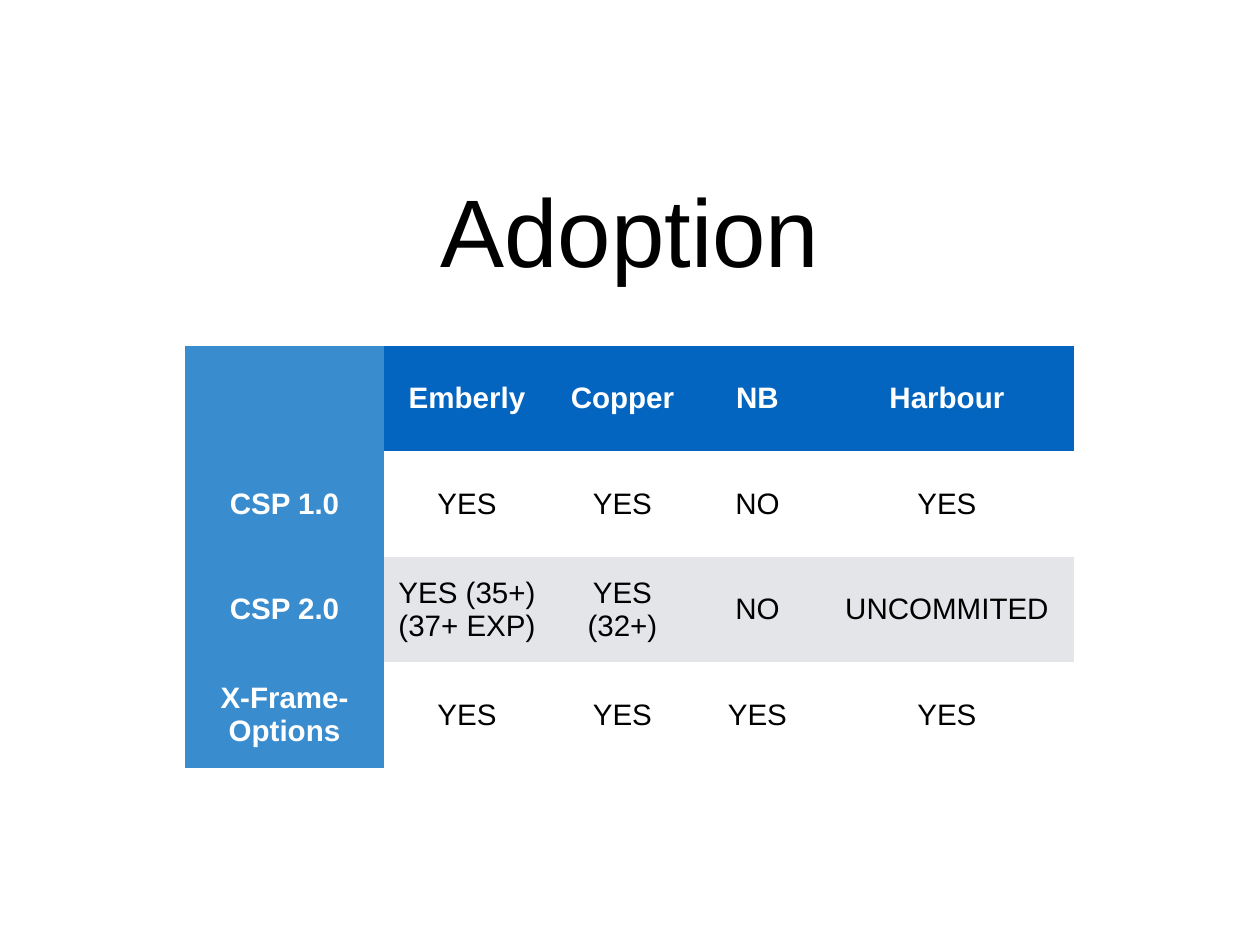
"""Build the slide with the table of browser adoption."""
import pptx
import pptx.dml.color
import pptx.enum.text
import pptx.oxml.ns
import pptx.util

TITLE = "Adoption"
ROWS = [
    ("", "Emberly", "Copper", "NB", "Harbour"),
    ("CSP 1.0", "YES", "YES", "NO", "YES"),
    ("CSP 2.0", "YES (35+)(37+ EXP)", "YES (32+)", "NO", "UNCOMMITED"),
    ("X-Frame-Options", "YES", "YES", "YES", "YES"),
]
HEX = {
    "head": "0365C0", "side": "398CCE", "plain": "FFFFFF",
    "band": "E3E5E8", "light": "FFFFFF", "dark": "000000",
}
FONT = "Arial"
PAGE = (1260, 945)
TITLE_BOX = (227, 151, 806, 157)
TABLE_AT = (185, 346)
COLS = (199, 166, 145, 125, 254)
TABLE_H = 422
INSET = 5
NO_STYLE = "{2D5ABB26-0587-4C30-8999-92F81FD0307C}"
SCALE = 914400 / 88.6


def px(num):
    return pptx.util.Emu(round(num * SCALE))


def color(name):
    return pptx.dml.color.RGBColor.from_string(HEX[name])


def write(frame, text, size, ink, bold=False):
    par = frame.paragraphs[0]
    par.alignment = pptx.enum.text.PP_ALIGN.CENTER
    run = par.add_run()
    run.text = text
    run.font.name = FONT
    run.font.size = pptx.util.Pt(size)
    run.font.bold = bold
    run.font.color.rgb = color(ink)


def inset(part, gap):
    part.margin_left = part.margin_right = px(gap)
    part.margin_top = part.margin_bottom = px(gap)
    part.vertical_anchor = pptx.enum.text.MSO_ANCHOR.MIDDLE


def tone(row, col):
    if col == 0:
        return "side"
    if row == 0:
        return "head"
    return "plain" if row % 2 else "band"


def add_title(slide):
    title = slide.shapes.title
    title.left, title.top, title.width, title.height = map(px, TITLE_BOX)
    frame = title.text_frame
    frame.word_wrap = True
    frame.auto_size = pptx.enum.text.MSO_AUTO_SIZE.NONE
    inset(frame, 0)
    write(frame, TITLE, 78, "dark")


def add_grid(slide):
    box = map(px, (*TABLE_AT, sum(COLS), TABLE_H))
    shape = slide.shapes.add_table(len(ROWS), len(COLS), *box)
    for style in shape.element.iter(pptx.oxml.ns.qn("a:tableStyleId")):
        style.text = NO_STYLE
    table = shape.table
    table.first_col = True
    for col, width in zip(table.columns, COLS):
        col.width = px(width)
    for row, texts in enumerate(ROWS):
        for col, text in enumerate(texts):
            cell = table.cell(row, col)
            cell.fill.solid()
            cell.fill.fore_color.rgb = color(tone(row, col))
            inset(cell, INSET)
            label = row == 0 or col == 0
            if text:
                ink = "light" if label else "dark"
                write(cell.text_frame, text, 24, ink, label)


def main():
    deck = pptx.Presentation()
    deck.slide_width, deck.slide_height = map(px, PAGE)
    slide = deck.slides.add_slide(deck.slide_layouts[5])
    add_title(slide)
    add_grid(slide)
    deck.save("out.pptx")


if __name__ == "__main__":
    main()
